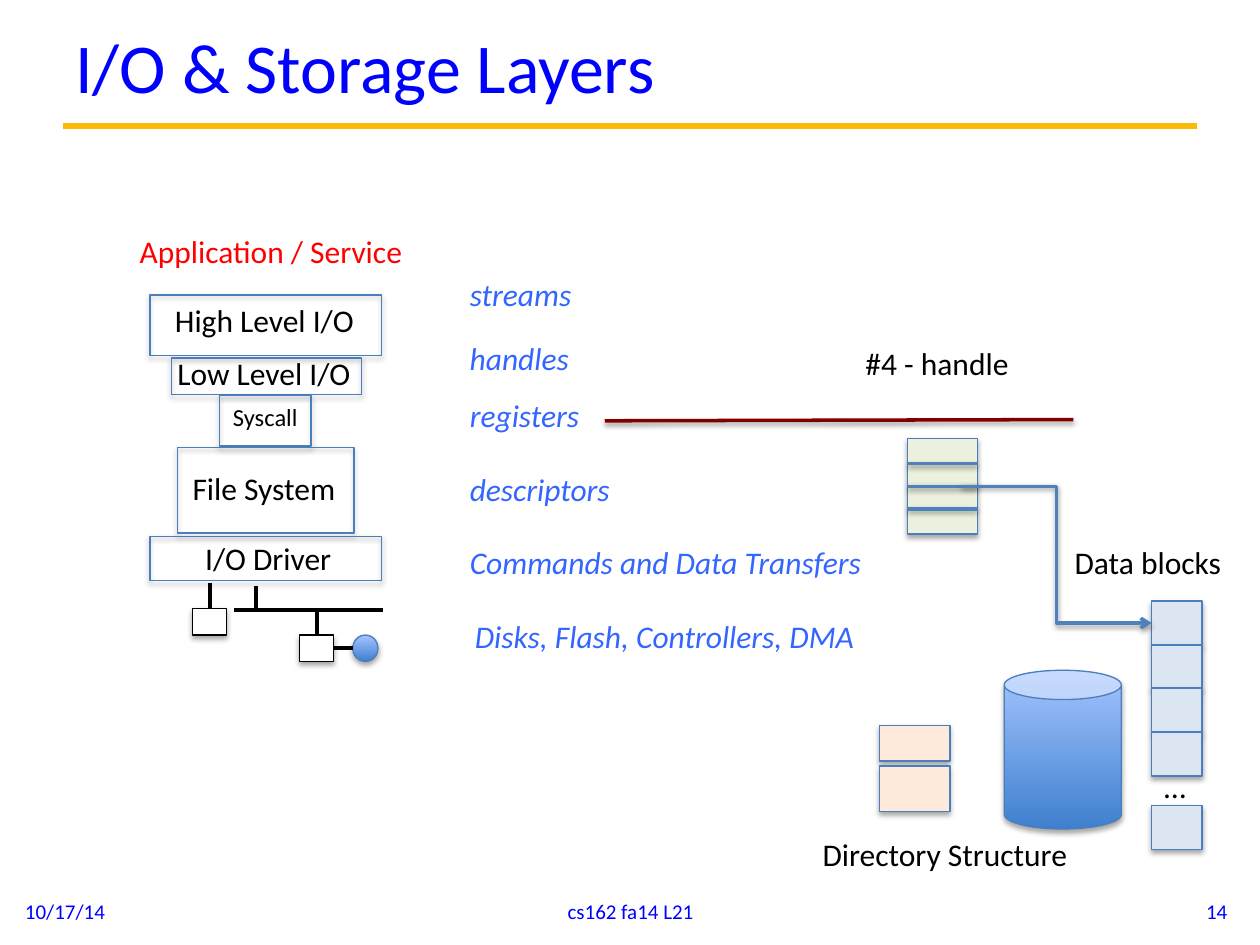
from dataclasses import dataclass
from typing import NamedTuple, Optional

from lxml import etree
from pptx import Presentation
from pptx import util as u
from pptx.dml.color import RGBColor
from pptx.enum import shapes, text
from pptx.oxml.ns import qn

RECTANGLE = shapes.MSO_SHAPE.RECTANGLE


@dataclass(frozen=True)
class Theme:
    font: str = "Calibri"
    title_size: float = 40
    body_size: float = 18
    small_size: float = 14
    footer_size: float = 12
    outline_width: float = 0.75
    line_width: float = 2
    rule_width: float = 3.75
    black: str = "000000"
    white: str = "FFFFFF"
    blue: str = "0000FF"
    red: str = "FF0000"
    note: str = "3366FF"
    gold: str = "FBBA03"
    maroon: str = "800000"
    outline: str = "4B7EBC"
    accent: str = "4F81BD"
    disk_dark: str = "3F80CE"
    disk_light: str = "A4C4FF"
    block: str = "DCE6F2"
    table: str = "EBF1DE"
    directory: str = "FDEADA"


THEME = Theme()


class Box(NamedTuple):
    left: float
    top: float
    width: float
    height: float


class Layer(NamedTuple):
    name: str
    label: Box
    frame: Box
    size: float = THEME.body_size


class Label(NamedTuple):
    words: str
    left: float
    top: float
    width: float


LAYERS = [
    Layer("High Level I/O", Box(1.29, 2.34, 1.64, 0.4), Box(1.19, 2.34, 1.84, 0.48)),
    Layer("Low Level I/O", Box(1.31, 2.76, 1.59, 0.4), Box(1.36, 2.84, 1.51, 0.29)),
    Layer("Syscall", Box(1.75, 3.14, 0.73, 0.34), Box(1.74, 3.14, 0.73, 0.4),
          THEME.small_size),
    Layer("File System", Box(1.43, 3.67, 1.36, 0.4), Box(1.41, 3.55, 1.4, 0.68)),
    Layer("I/O Driver", Box(1.53, 4.23, 1.22, 0.4), Box(1.19, 4.26, 1.84, 0.35)),
]
INTERFACES = [
    Label("streams", 3.63, 2.13, 1.08),
    Label("handles", 3.63, 2.64, 1.06),
    Label("registers", 3.63, 3.09, 1.15),
    Label("descriptors", 3.63, 3.68, 1.39),
    Label("Commands and Data Transfers", 3.63, 4.26, 3.42),
    Label("Disks, Flash, Controllers, DMA", 3.67, 4.85, 3.31),
]
CAPTIONS = [
    Label("Data blocks", 8.43, 4.26, 1.38),
    Label("#4 - handle", 6.77, 2.68, 1.35),
    Label("Directory Structure", 6.43, 6.58, 2.17),
]


def set_shadow(shape, opacity: Optional[int], distance: float = 1.8) -> None:
    """Give the shape a soft shadow below it, or none if opacity is None."""
    effects = etree.SubElement(shape._element.spPr, qn("a:effectLst"))
    if opacity is None:
        return
    shadow = etree.SubElement(
        effects, qn("a:outerShdw"), blurRad=str(u.Pt(3.1)), dist=str(u.Pt(distance)),
        dir="5400000", rotWithShape="0")
    color = etree.SubElement(shadow, qn("a:srgbClr"), val=THEME.black)
    etree.SubElement(color, qn("a:alpha"), val=str(opacity * 1000))


def add_text(parent, words: str, box: Box, *, size: float = THEME.body_size,
             color: str = THEME.black, italic: bool = False, wrap: bool = False,
             align=text.PP_ALIGN.LEFT, anchor=text.MSO_ANCHOR.TOP):
    shape = parent.shapes.add_textbox(*map(u.Inches, box))
    frame = shape.text_frame
    frame.word_wrap = wrap
    frame.auto_size = (text.MSO_AUTO_SIZE.NONE if wrap
                       else text.MSO_AUTO_SIZE.SHAPE_TO_FIT_TEXT)
    frame.vertical_anchor = anchor
    paragraph = frame.paragraphs[0]
    paragraph.alignment = align
    run = paragraph.add_run()
    run.text = words
    run.font.name = THEME.font
    run.font.size = u.Pt(size)
    run.font.italic = italic
    run.font.color.rgb = RGBColor.from_string(color)
    return shape


def add_box(parent, box: Box, *, kind=RECTANGLE, fill: Optional[str] = None,
            gradient: bool = False, outline: str = THEME.outline):
    shape = parent.shapes.add_shape(kind, *map(u.Inches, box))
    if gradient:
        shape.fill.gradient()
        shape.fill.gradient_angle = 90
        for stop, color in zip(shape.fill.gradient_stops,
                               (THEME.disk_dark, THEME.disk_light)):
            stop.color.rgb = RGBColor.from_string(color)
    elif fill:
        shape.fill.solid()
        shape.fill.fore_color.rgb = RGBColor.from_string(fill)
    else:
        shape.fill.background()
    shape.line.color.rgb = RGBColor.from_string(outline)
    shape.line.width = u.Pt(THEME.outline_width)
    set_shadow(shape, 35)
    return shape


def add_line(parent, start: tuple, end: tuple, *, color: str = THEME.black,
             width: float = THEME.line_width, shadow: bool = False,
             kind=shapes.MSO_CONNECTOR.STRAIGHT):
    line = parent.shapes.add_connector(kind, *map(u.Inches, (*start, *end)))
    line.line.color.rgb = RGBColor.from_string(color)
    line.line.width = u.Pt(width)
    set_shadow(line, 38 if shadow else None, 1.6)
    return line


def add_controller(slide, left: float, top: float):
    """Draw a controller box hanging from a short bus stub."""
    box = Box(left, top, 0.27, 0.21)
    shape = add_box(slide, box, fill=THEME.white, outline=THEME.black)
    middle = box.left + box.width / 2
    stub = add_line(slide, (middle, top - 0.2), (middle, top))
    stub.end_connect(shape, 0)
    return shape


def draw_frame(slide) -> None:
    middle = text.MSO_ANCHOR.MIDDLE
    add_line(slide, (0.5, 1), (9.5, 1), color=THEME.gold, width=THEME.rule_width)
    add_text(slide, "I/O & Storage Layers", Box(0.5, 0.04, 9, 0.96), wrap=True,
             size=THEME.title_size, color=THEME.blue, anchor=middle)
    for words, left, width, align in (
            ("10/17/14", 0.1, 2.33, text.PP_ALIGN.LEFT),
            ("cs162 fa14 L21", 3.42, 3.17, text.PP_ALIGN.CENTER),
            ("14", 7.51, 2.33, text.PP_ALIGN.RIGHT)):
        add_text(slide, words, Box(left, 7.03, width, 0.4), wrap=True, align=align,
                 size=THEME.footer_size, color=THEME.blue, anchor=middle)


def draw_layers(slide) -> None:
    add_text(slide, "Application / Service", Box(1.01, 1.79, 2.31, 0.4),
             color=THEME.red)
    for layer in LAYERS:
        add_text(slide, layer.name, layer.label, size=layer.size)
        add_box(slide, layer.frame)
    for words, left, top, width in INTERFACES:
        add_text(slide, words, Box(left, top, width, 0.4), color=THEME.note, italic=True)


def draw_devices(slide) -> None:
    add_line(slide, (1.86, 4.84), (3.04, 4.84))
    add_line(slide, (2.03, 4.65), (2.03, 4.84))
    add_controller(slide, 1.53, 4.83)
    controller = add_controller(slide, 2.38, 5.04)
    add_box(slide, Box(2.8, 5.04, 0.2, 0.21), kind=shapes.MSO_SHAPE.OVAL, gradient=True)
    add_line(slide, (2.65, 5.145), (2.8, 5.145)).begin_connect(controller, 3)


def draw_storage(slide) -> None:
    add_line(slide, (8.52, 3.33), (4.8, 3.34), color=THEME.maroon, shadow=True)
    add_box(slide, Box(7.97, 5.32, 0.93, 1.26), kind=shapes.MSO_SHAPE.CAN, gradient=True)

    group = slide.shapes.add_group_shape()
    blocks = [add_box(group, Box(9.14, top, 0.4, 0.35), fill=THEME.block)
              for top in (4.77, 5.12, 5.46, 5.81, 6.39)]
    add_text(group, "…", Box(9.14, 6.04, 0.38, 0.4))

    add_box(slide, Box(7.2, 3.48, 0.56, 0.76), fill=THEME.table)
    for row in range(3):
        y = 3.68 + 0.18 * row
        add_line(slide, (7.2, y), (7.76, y), color=THEME.accent, shadow=True)
    pointer = add_line(slide, (7.63, 3.86), (9.14, 4.95), color=THEME.accent,
                       shadow=True, kind=shapes.MSO_CONNECTOR.ELBOW)
    pointer.end_connect(blocks[0], 1)
    etree.SubElement(pointer.line._get_or_add_ln(), qn("a:tailEnd"), type="arrow")

    for top, height in ((5.76, 0.28), (6.08, 0.36)):
        add_box(slide, Box(6.98, top, 0.56, height), fill=THEME.directory)
    for words, left, top, width in CAPTIONS:
        add_text(slide, words, Box(left, top, width, 0.4))


def main() -> None:
    presentation = Presentation()
    presentation.slide_width = u.Inches(10)
    presentation.slide_height = u.Inches(7.5)
    slide = presentation.slides.add_slide(presentation.slide_layouts[6])
    for draw in (draw_frame, draw_layers, draw_devices, draw_storage):
        draw(slide)
    presentation.save("out.pptx")


if __name__ == "__main__":
    main()
